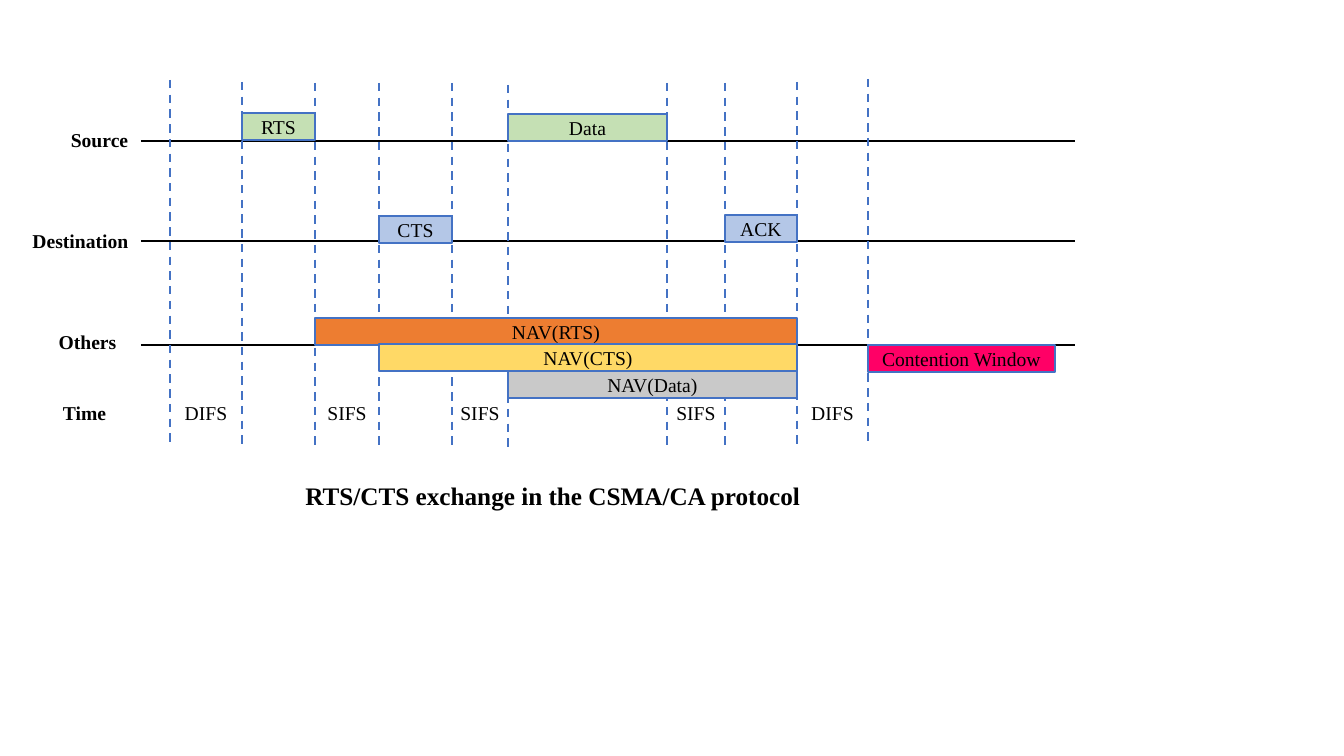
from dataclasses import dataclass

from lxml.etree import SubElement
from pptx import Presentation
from pptx.dml.color import RGBColor
from pptx.enum.dml import MSO_LINE
from pptx.enum.shapes import MSO_CONNECTOR, MSO_SHAPE
from pptx.enum.text import MSO_ANCHOR, PP_ALIGN
from pptx.oxml.ns import qn
from pptx.util import Emu, Pt

SCALE = 914400 / 100.8


@dataclass(frozen=True)
class Theme:
    font: str = "Times New Roman"
    body: int = 14
    title: int = 18
    ink: str = "000000"
    accent: str = "4472C4"
    source: str = "C5E0B4"
    reply: str = "B4C7E7"
    nav_rts: str = "ED7D31"
    nav_cts: str = "FFD966"
    nav_data: str = "C9C9C9"
    contention: str = "FF0066"
    lane_width: float = 2
    mark_width: float = 1.5


@dataclass(frozen=True)
class Box:
    left: int
    top: int
    width: int
    height: int

    def inside(self, left, top, width, height):
        return Box(self.left + left, self.top + top, width, height)

    def emu(self):
        return [pixels(v) for v in (self.left, self.top, self.width, self.height)]


THEME = Theme()
ROW_HEIGHT = 40
BAR_HEIGHT = 27

# Time marks as (x, top); bars run from one mark to another
MARKS = [(29, 1), (101, 3), (174, 4), (238, 4), (311, 4),
         (367, 6), (526, 4), (584, 4), (656, 3), (727, 0)]
MARK_LENGTH = 365
WINDOW_END = 914
EDGES = [x for x, _ in MARKS] + [WINDOW_END]
LANES = [62, 162, 266]
INTERVAL_TOP = 314

INTERVALS = [("DIFS", 0), ("SIFS", 2), ("SIFS", 4), ("SIFS", 6), ("DIFS", 8)]
BARS = [  # text, first edge, last edge, top, fill
    ("RTS", 1, 2, 34, THEME.source),
    ("CTS", 3, 4, 137, THEME.reply),
    ("Data", 5, 6, 35, THEME.source),
    ("ACK", 7, 8, 136, THEME.reply),
    ("NAV(RTS)", 2, 8, 239, THEME.nav_rts),
    ("NAV(CTS)", 3, 8, 265, THEME.nav_cts),
    ("NAV(Data)", 5, 8, 292, THEME.nav_data),
    ("Contention Window", 9, 10, 266, THEME.contention),
]
ROW_LABELS = [  # text, left, top, width
    ("Source", 38, 0, 83),
    ("Destination", 0, 101, 121),
    ("Others", 26, 202, 83),
    ("Time", 23, 273, 83),
]


def pixels(value):
    return Emu(round(value * SCALE))


def color(value):
    return RGBColor.from_string(value)


def apply(target, values):
    for name, value in values.items():
        setattr(target, name, value)


def write(shape, text, size=THEME.body, bold=False):
    frame = shape.text_frame
    apply(frame, {"word_wrap": True, "vertical_anchor": MSO_ANCHOR.MIDDLE,
                  "margin_left": 0, "margin_right": 0,
                  "margin_top": 0, "margin_bottom": 0})
    para = frame.paragraphs[0]
    para.alignment = PP_ALIGN.CENTER
    span = para.add_run()
    span.text = text
    apply(span.font, {"name": THEME.font, "size": Pt(size), "bold": bold})
    span.font.color.rgb = color(THEME.ink)


def add_label(page, box, text, bold=False):
    write(page.shapes.add_textbox(*box.emu()), text, bold=bold)


def add_line(page, box, ink, width, dash=None):
    ends = (box.left, box.top, box.left + box.width, box.top + box.height)
    line = page.shapes.add_connector(MSO_CONNECTOR.STRAIGHT, *map(pixels, ends))
    line.line.color.rgb = color(ink)
    apply(line.line, {"width": Pt(width), "dash_style": dash})
    SubElement(line._element.spPr, qn("a:effectLst"))


def add_bar(page, box, text, fill):
    bar = page.shapes.add_shape(MSO_SHAPE.RECTANGLE, *box.emu())
    bar.shadow.inherit = False
    bar.fill.solid()
    bar.fill.fore_color.rgb = color(fill)
    bar.line.color.rgb = color(THEME.accent)
    bar.line.width = Pt(THEME.mark_width)
    write(bar, text)


def place_title(page, box, text):
    title = page.shapes.title
    apply(title, dict(zip(("left", "top", "width", "height"), box.emu())))
    write(title, text, THEME.title, True)


def place_row_labels(page, box):
    for text, left, top, width in ROW_LABELS:
        add_label(page, box.inside(left, top, width, ROW_HEIGHT), text, True)


def place_timeline(page, box):
    # Station lanes
    for top in LANES:
        add_line(page, box.inside(0, top, box.width, 0), THEME.ink, THEME.lane_width)
    # Time marks
    for left, top in MARKS:
        add_line(page, box.inside(left, top, 0, MARK_LENGTH),
                 THEME.accent, THEME.mark_width, MSO_LINE.DASH)
    # Interframe spaces
    for text, first in INTERVALS:
        width = EDGES[first + 1] - EDGES[first]
        add_label(page, box.inside(EDGES[first], INTERVAL_TOP, width, ROW_HEIGHT), text)
    # Frames and reservations
    for text, first, last, top, fill in BARS:
        width = EDGES[last] - EDGES[first]
        add_bar(page, box.inside(EDGES[first], top, width, BAR_HEIGHT), text, fill)


deck = Presentation()
deck.slide_width, deck.slide_height = pixels(1344), pixels(756)
page = deck.slides.add_slide(deck.slide_layouts[5])

place_timeline(page, Box(141, 79, 934, 368))
place_row_labels(page, Box(20, 120, 121, 313))
place_title(page, Box(238, 475, 636, ROW_HEIGHT), "RTS/CTS exchange in the CSMA/CA protocol ")

deck.save("out.pptx")
